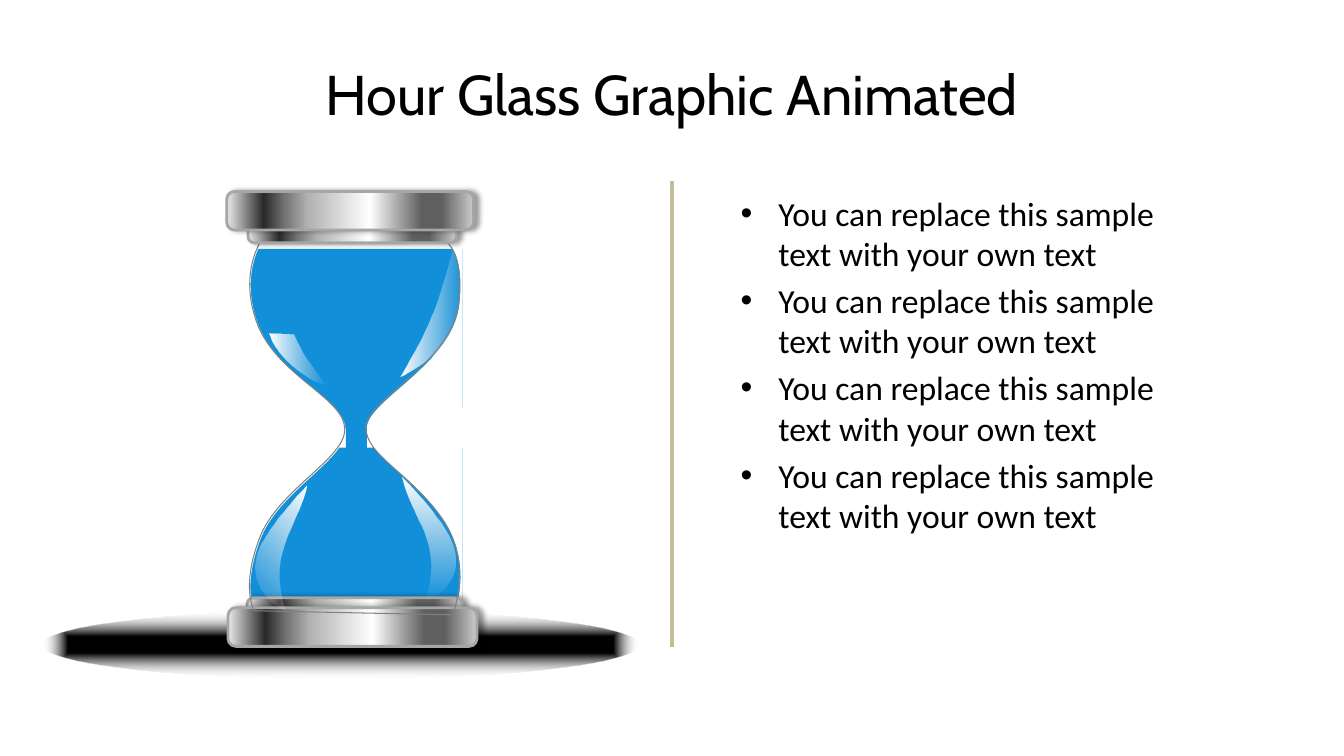
from lxml.etree import SubElement
from pptx import Presentation
from pptx.dml.color import RGBColor
from pptx.enum.shapes import MSO_CONNECTOR as Connector, MSO_SHAPE as Shape
from pptx.enum.text import MSO_ANCHOR as Anchor, PP_ALIGN as Align
from pptx.oxml.ns import qn
from pptx.util import Pt

# Content; lengths in points
TITLE = "Hour Glass Graphic Animated"
BULLETS = ["You can replace this sample text with your own text"] * 4
SAND, WHITE, BLACK = "118FD9", "FFFFFF", "000000"
TITLE_FONT = {"name": "Cabin", "size": Pt(40)}
BODY_FONT = {"name": "Calibri", "size": Pt(24)}

# Gradient stops: position, colour, opacity in percent
METAL = [(0, "CBCBCB", 100), (13, "5F5F5F", 100), (21, "5F5F5F", 100),
         (42, "FFFFFF", 100), (67, "B2B2B2", 100), (76, "777777", 100),
         (85, "292929", 100), (100, "EAEAEA", 100)]
GLINT = [(0, WHITE, 100), (100, "F2F2F2", 0)]
FLOOR = [(24, BLACK, 100), (100, WHITE, 0)]

FLOOR_BOX = (30.2, 436.3, 426.2, 48.2)
SAND_BOXES = [(178.6, 177.8, 151.9, 113.6), (178.6, 319.7, 151.9, 119.5)]
BASE_BARS = [(176.4, 427, 154, 23.7), (162.9, 434.1, 177.8, 27.6)]
TOP_BARS = [(177.1, 150.5, 149, 23), (162, 136.8, 176.2, 27.5)]

# Paths: a step of one point is a line, a step of three is a Bézier curve
STREAM = [[(232.6, 291.4)], [(275.8, 291.4)], [(275.8, 306)], [(262.1, 306)],
          [(262.1, 439.9)], [(247, 439.9)], [(247, 306)], [(232.6, 306)]]
LEFT_WALL = [[(187.2, 172.8)],
             [(187.2, 172.8), (170.6, 196.6), (185, 233.3)],
             [(200.2, 270), (247, 285.1), (247, 307.4)],
             [(247, 329), (198.7, 350.6), (185.8, 385.9)],
             [(172.8, 420.5), (182.2, 437), (182.2, 437)]]
RIGHT_WALL = [[(324, 439.9)],
              [(324, 439.9), (339.1, 403.9), (316.8, 371.5)],
              [(293.8, 338.4), (262.1, 326.2), (262.1, 306)],
              [(262.1, 285.8), (324, 260.6), (328.3, 216.7)],
              [(332.6, 172.1), (314.6, 171.4), (314.6, 171.4)]]
GLASS = LEFT_WALL + RIGHT_WALL
OUTSIDE = [[[(314.6, 171.4)], [(330.5, 171.4)], [(330.5, 439.9)]] + RIGHT_WALL,
           [[(178.6, 171.4)], [(314.6, 171.4)]] + LEFT_WALL
           + [[(324, 439.9)], [(178.6, 439.9)]]]
GLINTS = [  # angle, path
    (0, [[(192.2, 238.3)], [(193, 241.2), (194.4, 244.8), (196.6, 247.7)],
         [(211, 268.6), (233.3, 275), (233.3, 275)],
         [(223.2, 261.4), (219.6, 259.9), (209.5, 239)]]),
    (135, [[(218.9, 347)], [(218.9, 347), (190.8, 375.8), (184.3, 394.6)],
           [(175.7, 423.4), (203.8, 436.3), (203.8, 436.3)],
           [(190.1, 392.4), (213.1, 375.8), (218.9, 347)]]),
    (0, [[(323.3, 177.8)], [(323.3, 177.8), (338.4, 212.4), (326.9, 233.3)],
         [(315.4, 254.2), (285.8, 268.6), (285.8, 268.6)],
         [(297.4, 247.7), (308.9, 234), (323.3, 177.8)]]),
    (90, [[(287.3, 341.3)], [(287.3, 341.3), (316.8, 370.1), (323.3, 389.5)],
          [(333.4, 417.6), (303.1, 430.6), (303.1, 430.6)],
          [(318.2, 387.4), (293, 370.1), (287.3, 341.3)]])]


def rgb(colour):
    return RGBColor.from_string(colour)


def add_node(parent, tag, **values):
    return SubElement(parent, qn(tag), {key: str(value) for key, value in values.items()})


def add_colour(parent, colour, opacity):
    node = add_node(parent, "a:srgbClr", val=colour)
    add_node(node, "a:alpha", val=opacity * 1000)


def style(shape, fill=None, line=None, width=0):
    shape.shadow.inherit = False
    if fill:
        shape.fill.solid()
        shape.fill.fore_color.rgb = rgb(fill)
    else:
        shape.fill.background()
    if line:
        shape.line.color.rgb = rgb(line)
        shape.line.width = Pt(width)
    else:
        shape.line.fill.background()
    return shape


def set_gradient(shape, stops, angle=None):
    """Linear at the given angle, or following the shape when there is none."""
    shape.fill.gradient()
    gradient = shape._element.spPr.find(qn("a:gradFill"))
    for child in list(gradient):
        gradient.remove(child)
    stop_list = add_node(gradient, "a:gsLst")
    for position, colour, opacity in stops:
        add_colour(add_node(stop_list, "a:gs", pos=position * 1000), colour, opacity)
    if angle is None:
        centre = add_node(gradient, "a:path", path="shape")
        add_node(centre, "a:fillToRect", l=50000, t=50000, r=50000, b=50000)
    else:
        add_node(gradient, "a:lin", ang=angle * 60000, scaled=0)


def bend(shape, contours):
    """Join the three segments of each curved step into one Bézier curve."""
    segments = iter(list(shape._element.iter(qn("a:lnTo"))))
    for contour in contours:
        for step in contour[1:]:
            parts = [next(segments) for _ in step]
            if len(parts) == 3:
                curve = add_node(parts[0].getparent(), "a:cubicBezTo")
                parts[0].addprevious(curve)
                for part in parts:
                    curve.append(part[0])
                    part.getparent().remove(part)


def add_outline(contours, shift=0, **look):
    builder = None
    for contour in contours:
        start, *rest = [(Pt(x + shift), Pt(y + shift)) for step in contour for x, y in step]
        if builder is None:
            builder = page.shapes.build_freeform(*start)
        else:
            builder.move_to(*start)
        builder.add_line_segments(rest, close=True)
    shape = builder.convert_to_shape()
    bend(shape, contours)
    return style(shape, **look)


def add_box(kind, box, shapes=None, **look):
    shapes = shapes or page.shapes
    return style(shapes.add_shape(kind, *map(Pt, box)), **look)


def add_cap(bars):
    group = page.shapes.add_group_shape()
    for box in bars:
        bar = add_box(Shape.ROUNDED_RECTANGLE, box, group.shapes, line="A6A6A6", width=2)
        bar.adjustments[0] = 0.2
        set_gradient(bar, METAL, 180)
        effects = bar._element.spPr.find(qn("a:effectLst"))
        shadow = add_node(effects, "a:outerShdw", blurRad=Pt(4), dist=Pt(3), dir=0,
                          algn="l", rotWithShape=0)
        add_colour(shadow, BLACK, 40)


def write(para, text, look):
    span = para.add_run()
    span.text = text
    for key, value in look.items():
        setattr(span.font, key, value)
    span.font.color.rgb = rgb(BLACK)


deck = Presentation()
deck.slide_width, deck.slide_height = Pt(960), Pt(540)
page = deck.slides.add_slide(deck.slide_layouts[5])

# Floor shadow and sand
set_gradient(add_box(Shape.OVAL, FLOOR_BOX), FLOOR)
add_box(Shape.RECTANGLE, SAND_BOXES[0], fill=SAND)
add_outline([STREAM], fill=SAND)
add_box(Shape.RECTANGLE, SAND_BOXES[1], fill=SAND)

# Glass and metal caps
add_outline(OUTSIDE, fill=WHITE)
add_cap(BASE_BARS)
for angle, glint in GLINTS:
    set_gradient(add_outline([glint]), GLINT, angle)
add_outline([GLASS], shift=-0.7, line="808080")
add_cap(TOP_BARS)

# Title
title = page.shapes.title
title.left, title.top, title.width, title.height = map(Pt, (48, 21.6, 864, 90))
title.text_frame.vertical_anchor = Anchor.MIDDLE
title.text_frame.paragraphs[0].alignment = Align.CENTER
write(title.text_frame.paragraphs[0], TITLE, TITLE_FONT)

# Bullets
body = page.shapes.add_textbox(*map(Pt, (522, 133.9, 347.8, 342.7))).text_frame
body.word_wrap = True
for index, text in enumerate(BULLETS):
    para = body.add_paragraph() if index else body.paragraphs[0]
    if index:
        para.space_before = Pt(4.8)
    settings = para._p.get_or_add_pPr()
    settings.set("marL", str(Pt(27)))
    settings.set("indent", str(-Pt(27)))
    add_node(settings, "a:buFont", typeface="Arial")
    add_node(settings, "a:buChar", char="•")
    write(para, text, BODY_FONT)

# Divider
divider = page.shapes.add_connector(Connector.STRAIGHT, *map(Pt, (480, 129.6, 480, 461.8)))
divider.line.color.rgb = rgb("C4BD97")
divider.line.width = Pt(2.25)
add_node(divider._element.spPr, "a:effectLst")

deck.save("out.pptx")
